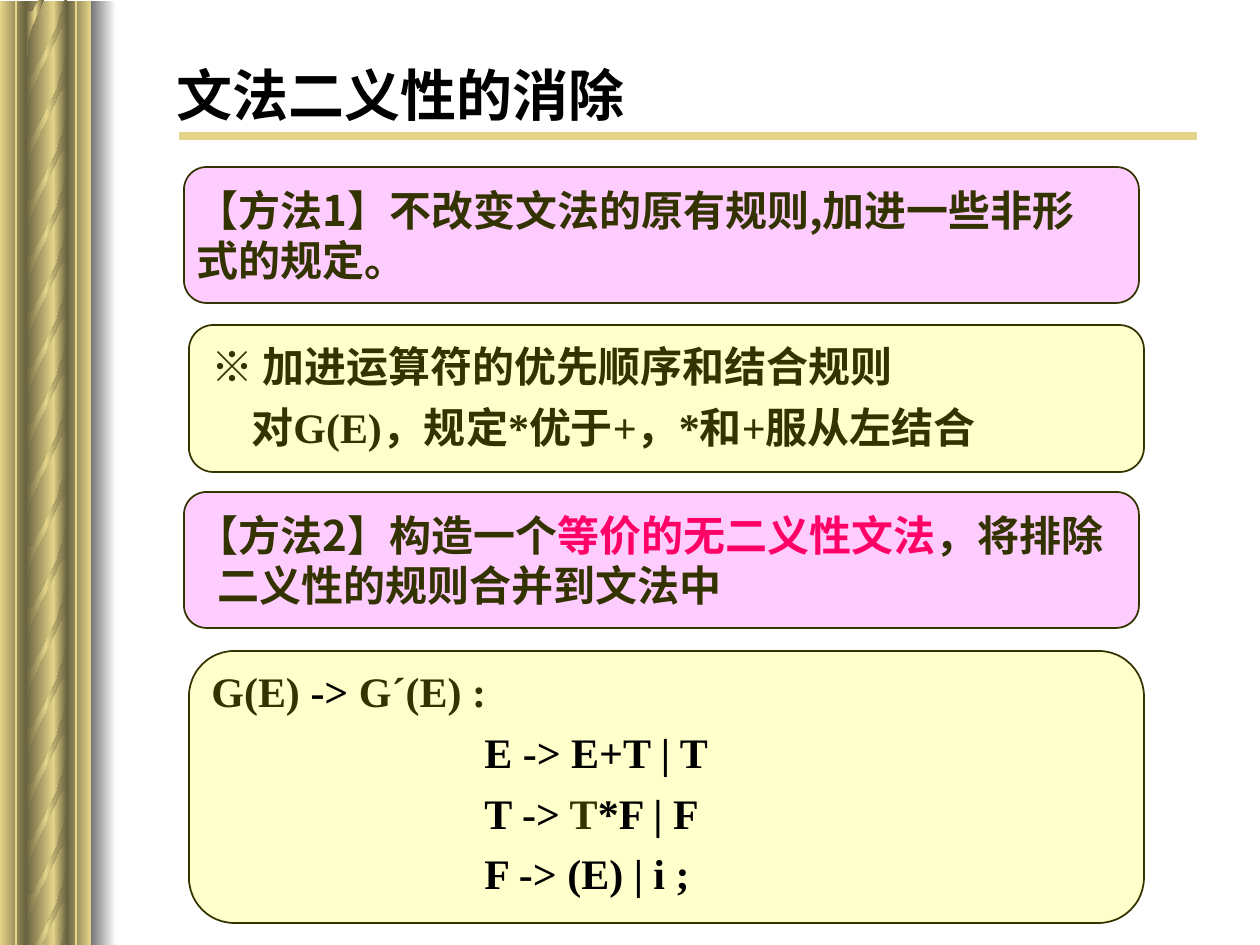
from copy import deepcopy

from lxml import etree
from pptx import Presentation
from pptx import util as u
from pptx.dml.color import RGBColor
from pptx.enum import shapes, text
from pptx.oxml.ns import qn

SCALE = 914400 / 126
DARK = RGBColor(0x69, 0x62, 0x3F)
GOLD = RGBColor(0xE5, 0xD5, 0x8A)
GRAY = RGBColor(0x75, 0x75, 0x75)
WHITE = RGBColor(0xFF, 0xFF, 0xFF)
BLACK = RGBColor(0, 0, 0)
INK = RGBColor(0x33, 0x33, 0x00)
PINK = RGBColor(0xFF, 0xCC, 0xFF)
CREAM = RGBColor(0xFF, 0xFF, 0xCC)
ROSE = RGBColor(0xFF, 0x00, 0x66)
SERIF = "Times New Roman"
SANS = "Noto Sans CJK SC"

TWIST = [
    (67, 11), (67, 42), (66, 40), (63, 40), (62, 42), (59, 45), (54, 57),
    (43, 79), (32, 103), (30, 110), (28, 117), (28, 127), (26, 141),
    (26, 79), (26, 86), (28, 88), (29, 89), (30, 89), (32, 89), (33, 88),
    (57, 42), (60, 30), (63, 24), (64, 18), (66, 8), (67, 0), (67, 25),
]
FOOT = [(67, 926), (67, 946), (25, 947), (60, 946), (63, 940), (64, 934),
        (66, 924), (67, 915), (67, 941)]


def px(n):
    return u.Emu(round(n * SCALE))


def clip(points, edge, sign):
    kept = []
    for (ax, ay), (bx, by) in zip(points, points[1:] + points[:1]):
        a_in, b_in = sign * (ay - edge) >= 0, sign * (by - edge) >= 0
        if a_in:
            kept.append((ax, ay))
        if a_in != b_in:
            kept.append((round(ax + (bx - ax) * (edge - ay) / (by - ay)), edge))
    return kept


class Deck:
    def __init__(self, wide, high):
        self.prs = Presentation()
        self.prs.slide_width, self.prs.slide_height = px(wide), px(high)
        self.slide = self.prs.slides.add_slide(self.prs.slide_layouts[6])
        self.items = self.slide.shapes

    def blend(self, shape, *colors):
        shape.shadow.inherit = False
        shape.line.fill.background()
        shape.fill.gradient()
        stops = shape._element.xpath(".//a:gsLst")[0]
        for _ in colors[2:]:
            stops.append(deepcopy(stops[0]))
        for i, (stop, color) in enumerate(zip(shape.fill.gradient_stops, colors)):
            stop.color.rgb = color
            stop.position = i / (len(colors) - 1)
        shape.fill.gradient_angle = 180

    def bar(self, x, y, w, h, *colors):
        shape = self.items.add_shape(
            shapes.MSO_SHAPE.RECTANGLE, px(x), px(y), px(w), px(h))
        self.blend(shape, *colors)

    def braid(self, points):
        pen = self.items.build_freeform(*points[0], scale=SCALE)
        pen.add_line_segments(points[1:], close=True)
        self.blend(pen.convert_to_shape(), DARK, GOLD, DARK)

    def line(self, x1, y1, x2, y2, width):
        rule = self.items.add_connector(
            shapes.MSO_CONNECTOR.STRAIGHT, px(x1), px(y1), px(x2), px(y2))
        rule.line.color.rgb = GOLD
        rule.line.width = u.Pt(width)
        etree.SubElement(rule._element.spPr, qn("a:effectLst"))

    def panel(self, x, y, w, h, color):
        shape = self.items.add_shape(
            shapes.MSO_SHAPE.ROUNDED_RECTANGLE, px(x), px(y), px(w), px(h))
        shape.shadow.inherit = False
        shape.fill.solid()
        shape.fill.fore_color.rgb = color
        shape.line.color.rgb = INK
        shape.line.width = u.Pt(1)

    def label(self, x, y, w, h, paras, font=SERIF, size=24, gap=6, middle=False):
        frame = self.items.add_textbox(px(x), px(y), px(w), px(h)).text_frame
        frame.word_wrap = True
        if middle:
            frame.vertical_anchor = text.MSO_ANCHOR.MIDDLE
        else:
            frame.auto_size = text.MSO_AUTO_SIZE.SHAPE_TO_FIT_TEXT
        for i, (left, first, tab, runs) in enumerate(paras):
            para = frame.add_paragraph() if i else frame.paragraphs[0]
            para.space_before = u.Pt(gap)
            props = para._p.get_or_add_pPr()
            props.set("marL", str(px(left)))
            props.set("indent", str(px(first)))
            if tab:
                tabs = etree.SubElement(props, qn("a:tabLst"))
                etree.SubElement(tabs, qn("a:tab"), pos=str(px(tab)), algn="l")
            for words, color in runs:
                run = para.add_run()
                run.text = words
                run.font.name = font
                run.font.size = u.Pt(size)
                run.font.bold = True
                run.font.color.rgb = color
                etree.SubElement(run._r.get_or_add_rPr(), qn("a:ea"), typeface=SANS)


def column(deck):
    halves = [
        (471, [578, 638, 694, 750, 805, 862, 519, 457]),
        (0, [110, 166, 222, 278, 334, 48, -14, -77, 394]),
    ]
    for top, starts in halves:
        y = max(top, 1)
        deck.bar(53, y, 14, 475, DARK, GOLD)
        deck.bar(0, y, 26, 475, DARK, GOLD)
        deck.bar(26, y, 28, 475, GOLD, DARK)
        deck.bar(67, y, 24, 475, GOLD, DARK)
        for start in starts:
            twist = [(x, start + dy) for x, dy in TWIST]
            deck.braid(clip(clip(twist, top, 1), 947, -1))
    deck.braid(FOOT)
    deck.bar(91, 1, 25, 945, WHITE, GRAY)
    for x in (16, 76):
        deck.line(x, 1, x, 946, 1)


def main():
    deck = Deck(1260, 945)
    column(deck)
    deck.line(179, 136, 1197, 136, 4.5)
    deck.label(164, 52, 969, 84, [(0, 0, 0, [("文法二义性的消除", BLACK)])],
               size=32, gap=0, middle=True)

    deck.panel(184, 167, 955, 136, PINK)
    deck.label(184, 178, 922, 113, [
        (0, 0, 155, [("【方法1】不改变文法的原有规则,加进一些非形\t式的规定。", INK)]),
    ], font=SANS, gap=15)

    deck.panel(184, 492, 955, 136, PINK)
    deck.label(184, 503, 955, 113, [
        (21, -21, 0, [("【方法2】构造一个", INK), ("等价的无二义性文法", ROSE),
                      ("，将排除二义性的规则合并到文法中", INK)]),
    ], font=SANS, gap=15)

    deck.panel(189, 325, 955, 147, CREAM)
    deck.label(199, 334, 956, 125, [
        (0, 0, 0, [("※ 加进运算符的优先顺序和结合规则", INK)]),
        (40, 0, 0, [("对G(E)，规定*优于+，*和+服从左结合", INK)]),
    ])

    deck.panel(189, 651, 955, 272, CREAM)
    deck.label(199, 659, 956, 246, [
        (0, 0, 0, [("G(E) ", INK), ("-> ", BLACK), ("G´(E) :", INK)]),
        (273, 0, 0, [("E -> E+T | T", BLACK)]),
        (273, 0, 0, [("T ->", BLACK), (" T", INK), ("*F | F", BLACK)]),
        (273, 0, 0, [("F -> (E) | i ;", BLACK)]),
    ])
    deck.prs.save("out.pptx")


if __name__ == "__main__":
    main()
